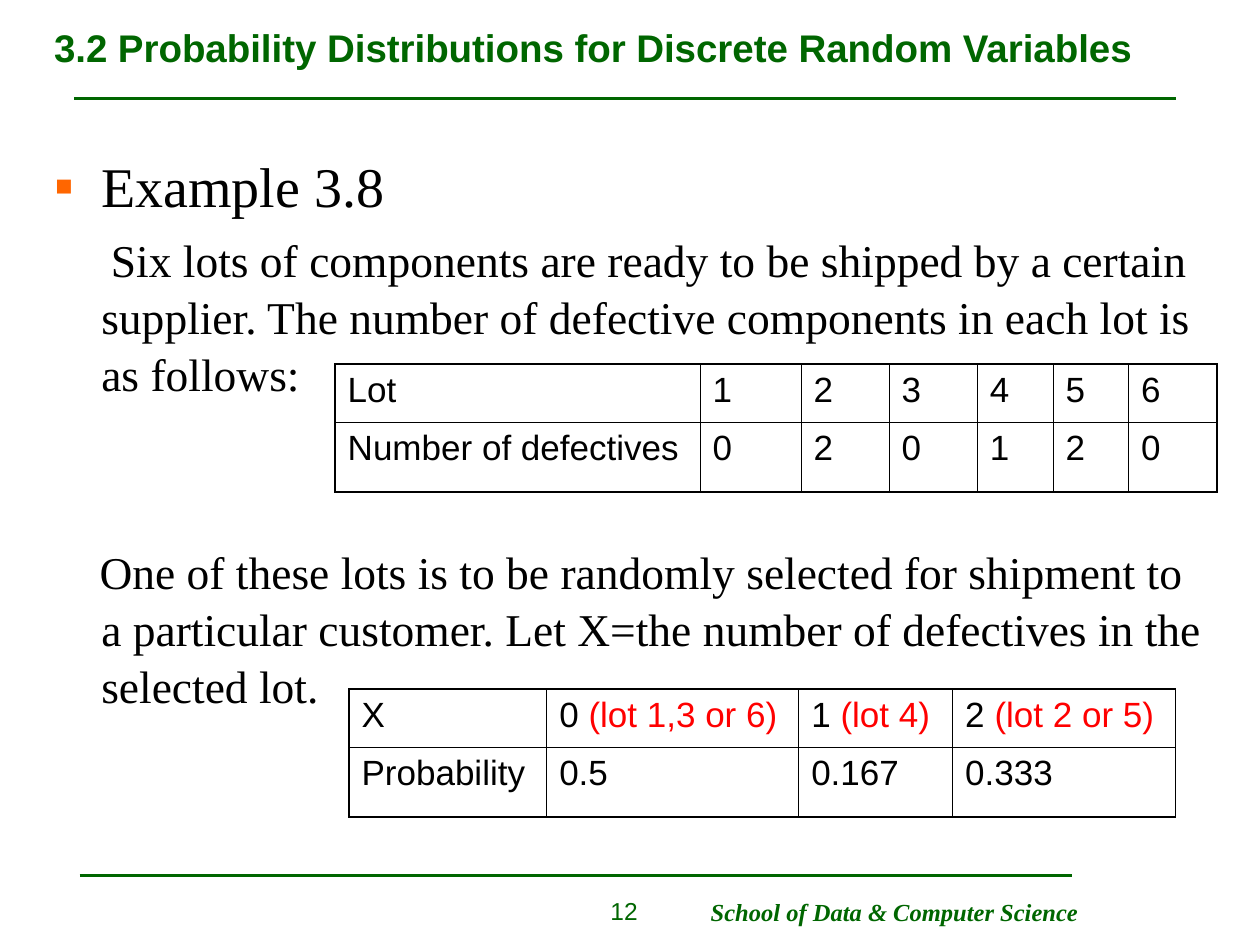
from lxml import etree
from pptx import Presentation
from pptx.dml.color import RGBColor
from pptx.enum import shapes, text
from pptx.oxml import ns
from pptx.util import Pt

COLORS = {"green": "006600", "black": "000000", "orange": "FF6600", "red": "FF0000"}
SANS, SERIF = "Arial", "Times New Roman"
OUTER, INNER = 1.08, 0.45
ROW_HEIGHTS = (33.4, 39.8)


def color(name):
    return RGBColor.from_string(COLORS[name])


def add_run(paragraph, words, *, size, font=SANS, fill="black", bold=False, italic=False):
    run = paragraph.add_run()
    run.text = words
    run.font.size = Pt(size)
    run.font.name = font
    run.font.bold = bold
    run.font.italic = italic
    run.font.color.rgb = color(fill)


def add_frame(slide, left, top, width, height, *, wrap=True, anchor=text.MSO_ANCHOR.TOP):
    frame = slide.shapes.add_textbox(Pt(left), Pt(top), Pt(width), Pt(height)).text_frame
    frame.word_wrap = wrap
    frame.vertical_anchor = anchor
    return frame


def add_rule(slide, left, right, y):
    rule = slide.shapes.add_connector(
        shapes.MSO_CONNECTOR.STRAIGHT, Pt(left), Pt(y), Pt(right), Pt(y))
    rule.line.color.rgb = color("green")
    rule.line.width = Pt(1.5)
    etree.SubElement(rule._element.spPr, ns.qn("a:effectLst"))


def set_indent(paragraph, margin, first_line):
    properties = paragraph._p.get_or_add_pPr()
    properties.set("marL", str(Pt(margin)))
    properties.set("indent", str(Pt(first_line)))
    return properties


def add_bullet(properties, symbol, fill):
    bullet_color = etree.SubElement(properties, ns.qn("a:buClr"))
    etree.SubElement(bullet_color, ns.qn("a:srgbClr"), val=COLORS[fill])
    etree.SubElement(properties, ns.qn("a:buFont"), typeface=SANS)
    etree.SubElement(properties, ns.qn("a:buChar"), char=symbol)


def set_borders(cell, widths):
    """Draw solid black borders; widths maps each side tag to points."""
    properties = cell._tc.get_or_add_tcPr()
    for position, (side, width) in enumerate(widths.items()):
        border = etree.Element(ns.qn(f"a:{side}"), w=str(Pt(width)))
        fill = etree.SubElement(border, ns.qn("a:solidFill"))
        etree.SubElement(fill, ns.qn("a:srgbClr"), val=COLORS["black"])
        properties.insert(position, border)


def add_grid(slide, left, top, column_widths, rows):
    """Add a table; a cell given as a pair has its second part in red."""
    table = slide.shapes.add_table(
        len(rows), len(column_widths), Pt(left), Pt(top),
        Pt(sum(column_widths)), Pt(sum(ROW_HEIGHTS))).table
    table.first_row = table.horz_banding = False
    for column, width in zip(table.columns, column_widths):
        column.width = Pt(width)
    last_row, last_column = len(rows) - 1, len(column_widths) - 1
    for r, values in enumerate(rows):
        table.rows[r].height = Pt(ROW_HEIGHTS[r])
        for c, value in enumerate(values):
            cell = table.cell(r, c)
            cell.fill.background()
            set_borders(cell, {
                "lnL": OUTER if c == 0 else INNER,
                "lnR": OUTER if c == last_column else INNER,
                "lnT": OUTER if r == 0 else INNER,
                "lnB": OUTER if r == last_row else INNER,
            })
            parts = (value,) if isinstance(value, str) else value
            for words, fill in zip(parts, ("black", "red")):
                add_run(cell.text_frame.paragraphs[0], words, size=20, fill=fill)


def add_example(slide):
    body = add_frame(slide, 23.8, 78.5, 672.5, 416)
    body.margin_top = Pt(8)
    heading = body.paragraphs[0]
    add_bullet(set_indent(heading, 27, -27), "▪", "orange")
    add_run(heading, "Example 3.8", size=32, font=SERIF)

    statements = (
        ("Six lots of components are ready to be shipped by a certain supplier. "
         "The number of defective components in each lot is as follows:", 5.5, 6.5),
        ("One of these lots is to be randomly selected for shipment to a particular "
         "customer. Let X=the number of defectives in the selected lot.", -1, 81),
    )
    for words, first_line, space_before in statements:
        statement = body.add_paragraph()
        set_indent(statement, 27, first_line)
        statement.space_before = Pt(space_before)
        statement.line_spacing = 1.04
        add_run(statement, words, size=26, font=SERIF)


def main():
    deck = Presentation()
    deck.slide_width, deck.slide_height = Pt(720), Pt(540)
    slide = deck.slides.add_slide(deck.slide_layouts[6])

    add_rule(slide, 42.5, 672, 56.2)
    add_rule(slide, 45.5, 612.5, 500.4)

    school = add_frame(slide, 399, 509, 224.6, 24.5, wrap=False)
    add_run(school.paragraphs[0], "School of Data & Computer Science",
            size=14, font=SERIF, fill="green", bold=True, italic=True)

    add_example(slide)

    title = add_frame(slide, 23.8, 2.2, 672.5, 49, anchor=text.MSO_ANCHOR.MIDDLE)
    add_run(title.paragraphs[0],
            "3.2 Probability Distributions for Discrete Random Variables",
            size=22, fill="green", bold=True)

    page = add_frame(slide, 298, 508.3, 73.5, 26).paragraphs[0]
    page.alignment = text.PP_ALIGN.RIGHT
    add_run(page, "12", size=14, fill="green")

    add_grid(slide, 191.5, 208.1, (208.6, 57.6, 50.4, 50.4, 43.2, 43.2, 50.4), (
        ("Lot", "1", "2", "3", "4", "5", "6"),
        ("Number of defectives", "0", "2", "0", "1", "2", "0"),
    ))
    add_grid(slide, 199.4, 393.8, (113, 144, 88, 127.4), (
        ("X", ("0 ", "(lot 1,3 or 6)"), ("1 ", "(lot 4)"), ("2 ", "(lot 2 or 5)")),
        ("Probability", "0.5", "0.167", "0.333"),
    ))
    deck.save("out.pptx")


if __name__ == "__main__":
    main()
